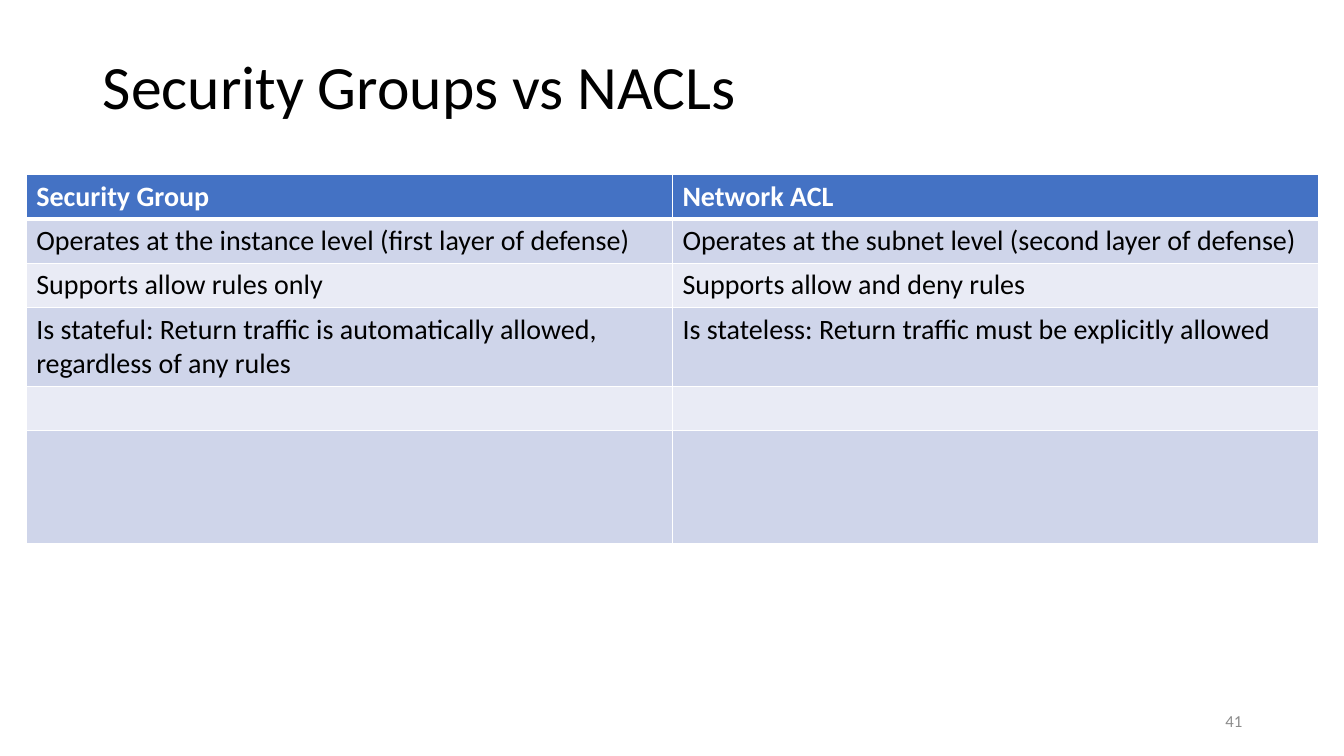
from dataclasses import dataclass

from lxml import etree
from pptx import Presentation
from pptx.dml.color import RGBColor
from pptx.enum.text import MSO_ANCHOR, MSO_AUTO_SIZE, PP_ALIGN
from pptx.oxml.ns import qn
from pptx.util import Inches, Pt

LEFT, RIGHT = PP_ALIGN.LEFT, PP_ALIGN.RIGHT
MIDDLE = MSO_ANCHOR.MIDDLE
NO_AUTOFIT = MSO_AUTO_SIZE.NONE
TITLE_ONLY = 5
SLIDE_WIDTH, SLIDE_HEIGHT = 13.33, 7.5
MARGIN = 0.92
CONTENT_WIDTH = 11.5
COLUMN_WIDTH = 6.41
LINE_ROW = 0.44
ROW_HEIGHTS = [LINE_ROW, LINE_ROW, LINE_ROW, 0.78, LINE_ROW, 1.12]


@dataclass(frozen=True)
class Theme:
    font: str = "Calibri"
    text: str = "000000"
    header_text: str = "FFFFFF"
    header_fill: str = "4472C4"
    bands: tuple = ("CFD5EA", "E9EBF5")
    border: str = "FFFFFF"
    muted: str = "8C8C8C"
    title_size: int = 44
    table_size: int = 20
    number_size: int = 12


THEME = Theme()
COMPARISON = [
    ("Security Group", "Network ACL"),
    ("Operates at the instance level (first layer of defense)",
     "Operates at the subnet level (second layer of defense)"),
    ("Supports allow rules only", "Supports allow and deny rules"),
    ("Is stateful: Return traffic is automatically allowed, regardless of any rules",
     "Is stateless: Return traffic must be explicitly allowed"),
    ("", ""),
    ("", ""),
]


def write(frame, text, size, color, align=LEFT, bold=False):
    frame.text = text
    paragraph = frame.paragraphs[0]
    paragraph.alignment = align
    for run in paragraph.runs:
        run.font.name = THEME.font
        run.font.size = Pt(size)
        run.font.bold = bold
        run.font.color.rgb = RGBColor.from_string(color)


def place(shape, left, top, width, height):
    shape.left, shape.top = Inches(left), Inches(top)
    shape.width, shape.height = Inches(width), Inches(height)


def add_title(slide, text):
    title = slide.shapes.title
    place(title, MARGIN, 0.4, CONTENT_WIDTH, 0.97)
    frame = title.text_frame
    frame.auto_size = NO_AUTOFIT
    frame.vertical_anchor = MIDDLE
    write(frame, text, THEME.title_size, THEME.text)
    frame.paragraphs[0].line_spacing = 0.9


def set_borders(cell, bottom_width):
    properties = cell._tc.get_or_add_tcPr()
    widths = {"a:lnL": 1, "a:lnR": 1, "a:lnT": 1, "a:lnB": bottom_width}
    for position, (side, width) in enumerate(widths.items()):
        line = etree.Element(qn(side), w=str(Pt(width)))
        fill = etree.SubElement(line, qn("a:solidFill"))
        etree.SubElement(fill, qn("a:srgbClr"), val=THEME.border)
        properties.insert(position, line)


def add_comparison(slide, rows):
    table = slide.shapes.add_table(
        len(rows), len(rows[0]), Inches(0.26), Inches(1.73),
        Inches(COLUMN_WIDTH * len(rows[0])), Inches(sum(ROW_HEIGHTS))).table
    for column in table.columns:
        column.width = Inches(COLUMN_WIDTH)
    for index, (height, texts) in enumerate(zip(ROW_HEIGHTS, rows)):
        header = index == 0
        fill = THEME.header_fill if header else THEME.bands[(index - 1) % 2]
        color = THEME.header_text if header else THEME.text
        table.rows[index].height = Inches(height)
        for cell, text in zip(table.rows[index].cells, texts):
            cell.fill.solid()
            cell.fill.fore_color.rgb = RGBColor.from_string(fill)
            set_borders(cell, 3 if header else 1)
            if text:
                write(cell.text_frame, text, THEME.table_size, color, bold=header)


def add_slide_number(slide, number):
    width = 3
    box = slide.shapes.add_textbox(
        Inches(MARGIN + CONTENT_WIDTH - width), Inches(6.95), Inches(width), Inches(0.4))
    frame = box.text_frame
    frame.word_wrap = True
    frame.vertical_anchor = MIDDLE
    write(frame, number, THEME.number_size, THEME.muted, RIGHT)


def main():
    presentation = Presentation()
    presentation.slide_width = Inches(SLIDE_WIDTH)
    presentation.slide_height = Inches(SLIDE_HEIGHT)
    slide = presentation.slides.add_slide(presentation.slide_layouts[TITLE_ONLY])
    add_title(slide, "Security Groups vs NACLs")
    add_comparison(slide, COMPARISON)
    add_slide_number(slide, "41")
    presentation.save("out.pptx")


if __name__ == "__main__":
    main()
